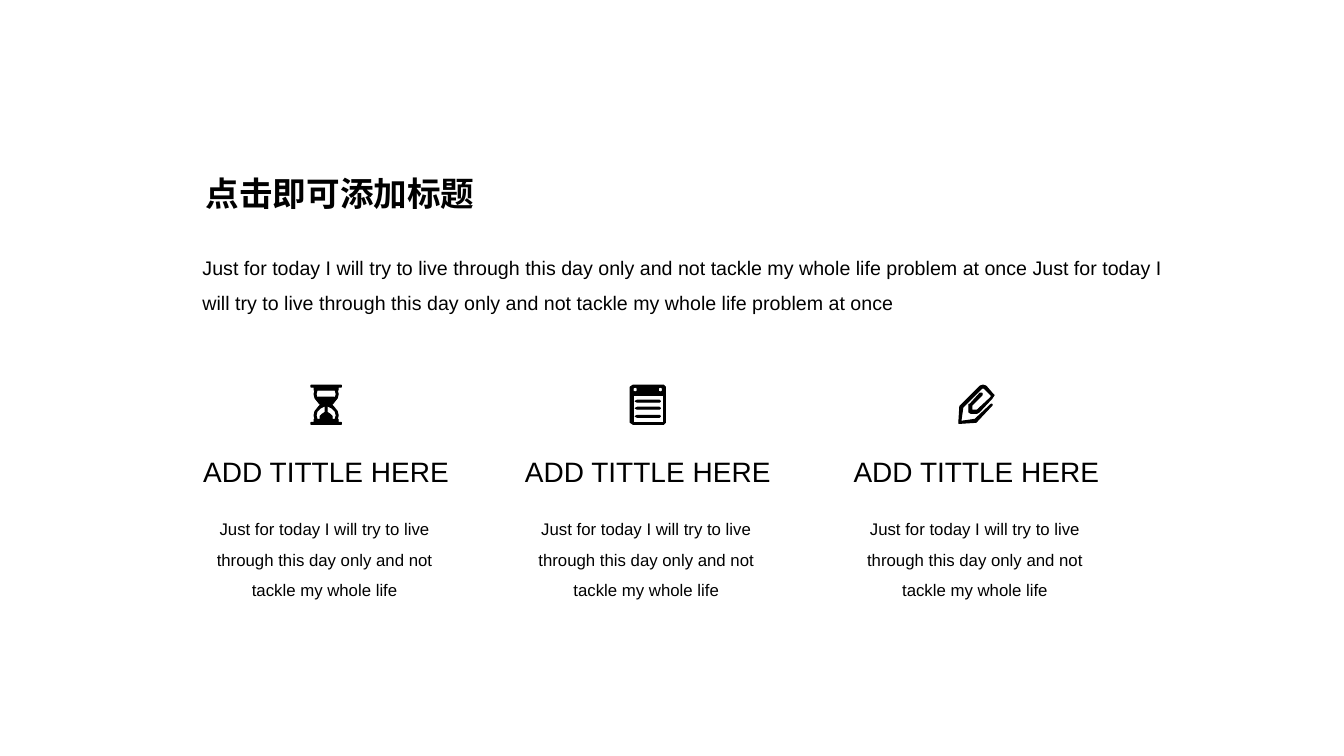
from pptx import Presentation
from pptx.dml.color import RGBColor
from pptx.enum.text import MSO_ANCHOR, MSO_AUTO_SIZE, PP_ALIGN
from pptx.util import Inches, Pt

LEFT, CENTER = PP_ALIGN.LEFT, PP_ALIGN.CENTER
TOP = MSO_ANCHOR.TOP
GROW = MSO_AUTO_SIZE.SHAPE_TO_FIT_TEXT
COLOURS = {"ink": "000000", "page": "FFFFFF"}
FONT = "Arial"
TITLE_LAYOUT = 5

SENTENCE = "Just for today I will try to live through this day only and not tackle my whole life"
INTRO = " ".join([SENTENCE + " problem at once"] * 2)
HEADING = "ADD TITTLE HERE"
COLUMN_LEFTS = (1.9, 5.09, 8.35)
COLUMN_TOP, COLUMN_WIDTH = 3.82, 2.67


def with_mirrored_side(points, width):
    return points + [(width - x, y) for x, y in reversed(points)]


def hourglass():
    height, width = 39, 30
    upper = [(30, 0), (30, 2), (27, 2), (27, 5), (26, 5), (27, 9), (26, 13), (22, 18), (20, 20)]
    lower = [(x, height - y) for x, y in reversed(upper)]
    glass = [(24, 5), (25, 9), (24, 13), (21, 16), (17, 18), (17, 21), (21, 23),
             (24, 26), (25, 30), (24, 34), (21, 34), (21, 31), (19, 29), (16, 27),
             (16, 17), (20, 15), (23, 12)]
    return width, [with_mirrored_side(upper + lower, width), with_mirrored_side(glass, width)]


def notepad():
    cover = [(3, 0), (33, 0), (35, 2), (35, 37), (33, 39), (3, 39), (0, 37), (0, 2)]
    sheet = [(3, 10), (33, 10), (33, 37), (3, 37)]
    rings = [[(x, 2), (x + 2, 3), (x + 2, 6), (x, 7), (x - 2, 6), (x - 2, 3)] for x in (5, 30)]
    rules = [[(5, y + 1), (7, y), (29, y), (30, y + 1), (29, y + 2), (7, y + 2)]
             for y in (15, 22, 30)]
    return 35, [cover, sheet] + rings + rules


def pen():
    outline = [(0, 38), (0, 37), (1, 21), (2, 20), (21, 1), (24, 0), (27, 1), (33, 8),
               (35, 10), (33, 13), (20, 27), (18, 28), (12, 28), (10, 27), (10, 19),
               (11, 19), (21, 8), (23, 8), (23, 10), (13, 20), (13, 25), (18, 25),
               (32, 12), (32, 10), (25, 3), (23, 3), (4, 22), (2, 36), (16, 34),
               (32, 19), (33, 19), (33, 20), (18, 36), (17, 37), (1, 38)]
    return 35, [outline]


def write(shape, text, size, align=LEFT, spacing=1.0, bold=False):
    frame = shape.text_frame
    frame.word_wrap = True
    frame.auto_size = GROW
    frame.vertical_anchor = TOP
    para = frame.paragraphs[0]
    para.alignment = align
    para.line_spacing = spacing
    span = para.add_run()
    span.text = text
    span.font.name = FONT
    span.font.size = Pt(size)
    span.font.bold = bold
    span.font.color.rgb = RGBColor.from_string(COLOURS["ink"])


def add_text(page, left, top, width, height, text, size, **style):
    box = page.shapes.add_textbox(Inches(left), Inches(top), Inches(width), Inches(height))
    write(box, text, size, **style)


def add_icon(page, center, top, drawing):
    width, contours = drawing
    builder = None
    for contour in contours:
        if builder is None:
            builder = page.shapes.build_freeform(*contour[0], scale=Inches(0.01))
        else:
            builder.move_to(*contour[0])
        builder.add_line_segments(contour[1:], close=True)
    icon = builder.convert_to_shape(Inches(center - width / 200), Inches(top))
    icon.shadow.inherit = False
    icon.fill.solid()
    icon.fill.fore_color.rgb = RGBColor.from_string(COLOURS["ink"])
    icon.line.color.rgb = RGBColor.from_string(COLOURS["ink"])
    icon.line.width = Pt(0.75)


def add_header(page, left, top, width):
    title = page.shapes.title
    title.left, title.top = Inches(left + 0.03), Inches(top)
    title.width, title.height = Inches(4.12), Inches(0.5)
    write(title, "点击即可添加标题", 24, bold=True)
    add_text(page, left, top + 0.7, width, 1.16, INTRO, 14, spacing=1.5)


def add_column(page, left, top, width, drawing):
    add_icon(page, left + width / 2, top, drawing)
    add_text(page, left, top + 0.64, width, 0.44, HEADING, 20, align=CENTER)
    add_text(page, left + 0.03, top + 1.18, width - 0.09, 1.01, SENTENCE, 12,
             align=CENTER, spacing=1.5)


def main():
    deck = Presentation()
    deck.slide_width, deck.slide_height = Inches(13.33), Inches(7.5)
    page = deck.slides.add_slide(deck.slide_layouts[TITLE_LAYOUT])
    page.background.fill.solid()
    page.background.fill.fore_color.rgb = RGBColor.from_string(COLOURS["page"])
    add_header(page, 1.91, 1.67, 9.82)
    for left, drawing in zip(COLUMN_LEFTS, (hourglass(), notepad(), pen())):
        add_column(page, left, COLUMN_TOP, COLUMN_WIDTH, drawing)
    deck.save("out.pptx")


if __name__ == "__main__":
    main()
